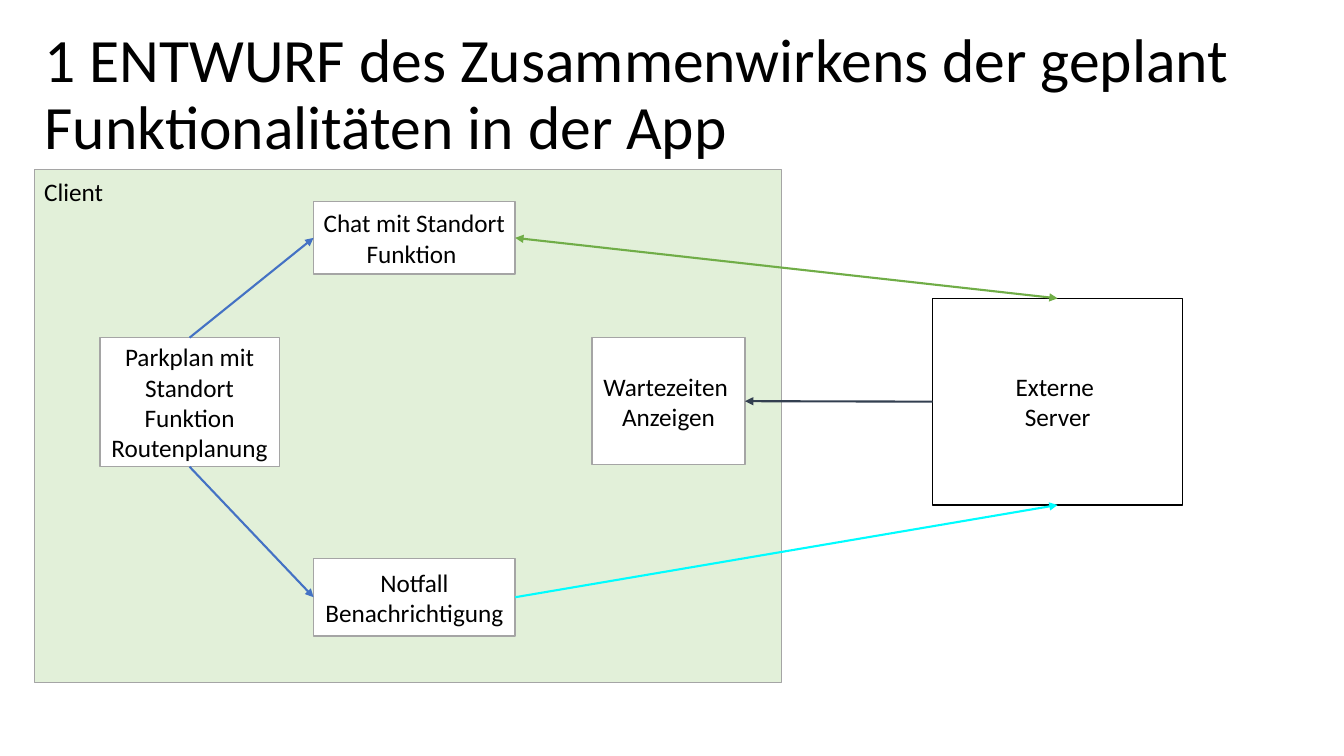
import pptx
import pptx.dml.color
import pptx.enum.shapes
import pptx.enum.text
import pptx.oxml
import pptx.oxml.ns
import pptx.util
from pptx.util import Inches

RGBColor = pptx.dml.color.RGBColor
BLACK = RGBColor(0x00, 0x00, 0x00)
WHITE = RGBColor(0xFF, 0xFF, 0xFF)
GRAY = RGBColor(0xA5, 0xA5, 0xA5)
PALE_GREEN = RGBColor(0xE2, 0xF0, 0xD9)
BLUE = RGBColor(0x44, 0x72, 0xC4)
GREEN = RGBColor(0x70, 0xAD, 0x47)
SLATE = RGBColor(0x33, 0x3F, 0x50)
CYAN = RGBColor(0x00, 0xFD, 0xFF)

ALIGN = pptx.enum.text.PP_ALIGN
ANCHOR = pptx.enum.text.MSO_ANCHOR
AUTO_SIZE = pptx.enum.text.MSO_AUTO_SIZE
TOP, LEFT, BOTTOM, RIGHT = range(4)  # connection sites of a rectangle


def write_text(shape, text, size=18, align=ALIGN.CENTER, anchor=ANCHOR.MIDDLE,
               wrap=True, auto_size=AUTO_SIZE.NONE, line_spacing=1.0):
    frame = shape.text_frame
    frame.text = text
    frame.word_wrap = wrap
    frame.auto_size = auto_size
    frame.vertical_anchor = anchor
    for paragraph in frame.paragraphs:
        paragraph.alignment = align
        paragraph.line_spacing = line_spacing
        paragraph.font.name = "Calibri"
        paragraph.font.size = pptx.util.Pt(size)
        paragraph.font.color.rgb = BLACK


def add_box(left, top, width, height, fill=WHITE, outline=GRAY):
    box = slide.shapes.add_shape(
        pptx.enum.shapes.MSO_SHAPE.RECTANGLE,
        Inches(left), Inches(top), Inches(width), Inches(height))
    box.shadow.inherit = False
    box.fill.solid()
    box.fill.fore_color.rgb = fill
    box.line.color.rgb = outline
    box.line.width = pptx.util.Pt(1)
    return box


presentation = pptx.Presentation()
presentation.slide_width = Inches(13.33)
presentation.slide_height = Inches(7.5)
slide = presentation.slides.add_slide(presentation.slide_layouts[5])

title = slide.shapes.title
title.left, title.top = Inches(0.34), Inches(0.23)
title.width, title.height = Inches(12.58), Inches(1.45)
write_text(title, "1 ENTWURF des Zusammenwirkens der geplant Funktionalitäten in der App",
           size=44, align=ALIGN.LEFT, line_spacing=0.9)

add_box(0.34, 1.68, 7.41, 5.09, fill=PALE_GREEN)
client_label = slide.shapes.add_textbox(Inches(0.34), Inches(1.7), Inches(0.79), Inches(0.4))
write_text(client_label, "Client", align=ALIGN.LEFT, anchor=ANCHOR.TOP, wrap=False,
           auto_size=AUTO_SIZE.SHAPE_TO_FIT_TEXT)

park_map = add_box(0.99, 3.35, 1.78, 1.28)
write_text(park_map, "Parkplan mit Standort Funktion Routenplanung")
chat = add_box(3.11, 2, 2, 0.72)
write_text(chat, "Chat mit Standort Funktion ")
emergency = add_box(3.11, 5.54, 2, 0.77)
write_text(emergency, "Notfall Benachrichtigung ")
waiting_times = add_box(5.87, 3.35, 1.52, 1.26)
write_text(waiting_times, "Wartezeiten \nAnzeigen")
server = add_box(9.25, 2.96, 2.48, 2.05, outline=BLACK)
write_text(server, "Externe \nServer")

# Start box and site, end box and site, colour, arrowheads
arrows = [
    (park_map, TOP, chat, LEFT, BLUE, ["tailEnd"]),
    (park_map, BOTTOM, emergency, LEFT, BLUE, ["tailEnd"]),
    (chat, RIGHT, server, TOP, GREEN, ["headEnd", "tailEnd"]),
    (server, LEFT, waiting_times, RIGHT, SLATE, ["tailEnd"]),
    (emergency, RIGHT, server, BOTTOM, CYAN, ["tailEnd"]),
]
for start, start_site, end, end_site, color, arrowheads in arrows:
    arrow = slide.shapes.add_connector(pptx.enum.shapes.MSO_CONNECTOR.STRAIGHT, 0, 0, 0, 0)
    arrow.begin_connect(start, start_site)
    arrow.end_connect(end, end_site)
    arrow.line.color.rgb = color
    arrow.line.width = pptx.util.Pt(1.5)
    line_element = arrow.line._get_or_add_ln()
    for arrowhead in arrowheads:
        head = pptx.oxml.parse_xml(
            f'<a:{arrowhead} {pptx.oxml.ns.nsdecls("a")} type="triangle"/>')
        line_element.append(head)
    arrow._element.spPr.append(
        pptx.oxml.parse_xml(f'<a:effectLst {pptx.oxml.ns.nsdecls("a")}/>'))

presentation.save("out.pptx")
